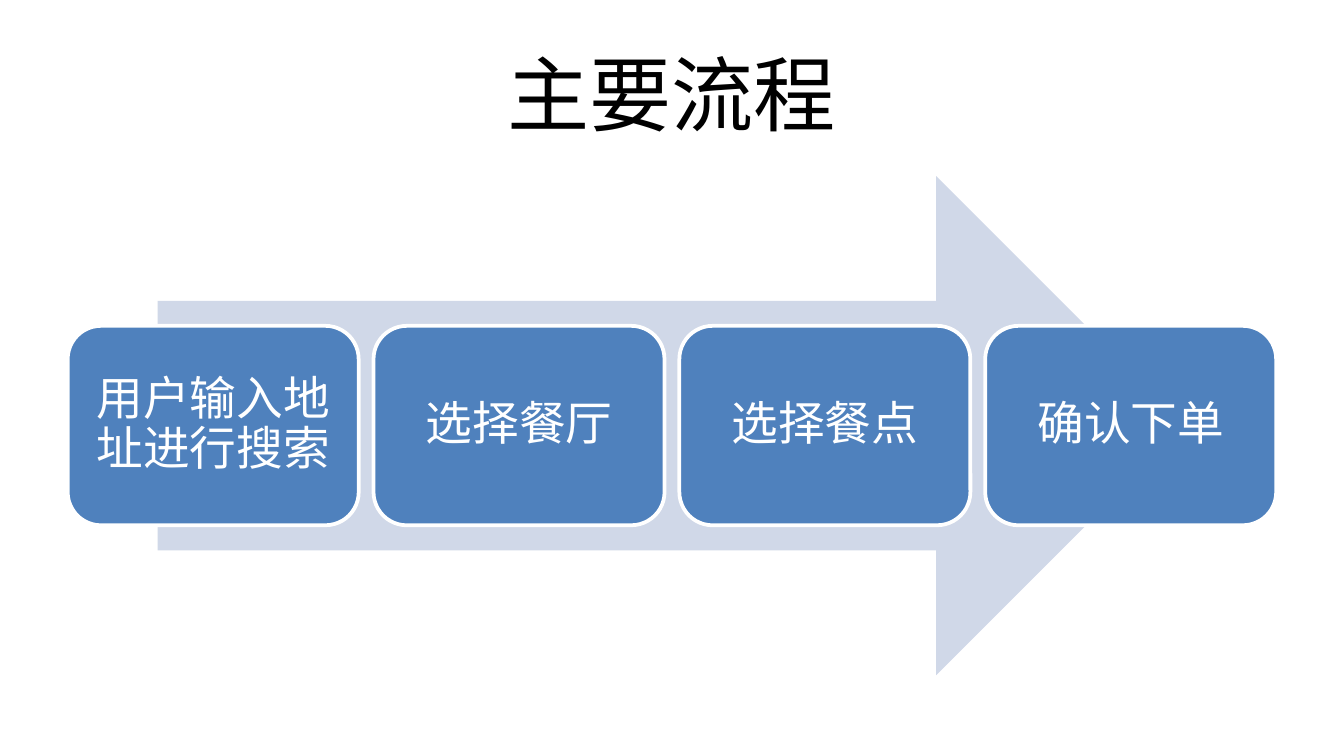
from pptx import Presentation
from pptx import util as u
from pptx.dml.color import RGBColor
from pptx.enum import shapes, text


def paint(target, color):
    target.solid()
    target.fore_color.rgb = RGBColor.from_string(color)


def add_run(paragraph, wording, size, color):
    paragraph.alignment = text.PP_ALIGN.CENTER
    run = paragraph.add_run()
    run.text = wording
    run.font.name = "Calibri"
    run.font.size = u.Pt(size)
    paint(run.font.fill, color)


presentation = Presentation()
presentation.slide_width = u.Cm(25.4)
presentation.slide_height = u.Cm(14.29)
slide = presentation.slides.add_slide(presentation.slide_layouts[5])
paint(slide.background.fill, "FFFFFF")

title = slide.shapes.title
title.left, title.top = u.Cm(1.27), u.Cm(0.57)
title.width, title.height = u.Cm(22.86), u.Cm(2.38)
title.text_frame.vertical_anchor = text.MSO_ANCHOR.MIDDLE
add_run(title.text_frame.paragraphs[0], "主要流程", 44, "000000")

arrow = slide.shapes.add_shape(
    shapes.MSO_SHAPE.RIGHT_ARROW, u.Cm(2.98), u.Cm(3.33), u.Cm(19.43), u.Cm(9.43)
)
arrow.shadow.inherit = False
paint(arrow.fill, "D0D8E8")
arrow.line.fill.background()

steps = ["用户输入地址进行搜索", "选择餐厅", "选择餐点", "确认下单"]
for index, step in enumerate(steps):
    box = slide.shapes.add_shape(
        shapes.MSO_SHAPE.ROUNDED_RECTANGLE,
        u.Cm(1.28 + 5.78 * index), u.Cm(6.16), u.Cm(5.5), u.Cm(3.77),
    )
    box.shadow.inherit = False
    paint(box.fill, "4F81BD")
    paint(box.line.fill, "FFFFFF")
    box.line.width = u.Pt(2)
    frame = box.text_frame
    frame.word_wrap = True
    frame.vertical_anchor = text.MSO_ANCHOR.MIDDLE
    frame.margin_left = frame.margin_right = u.Cm(0.2)
    frame.margin_top = frame.margin_bottom = u.Cm(0.2)
    paragraph = frame.paragraphs[0]
    paragraph.line_spacing = 0.9
    add_run(paragraph, step, 25, "FFFFFF")

presentation.save("out.pptx")
